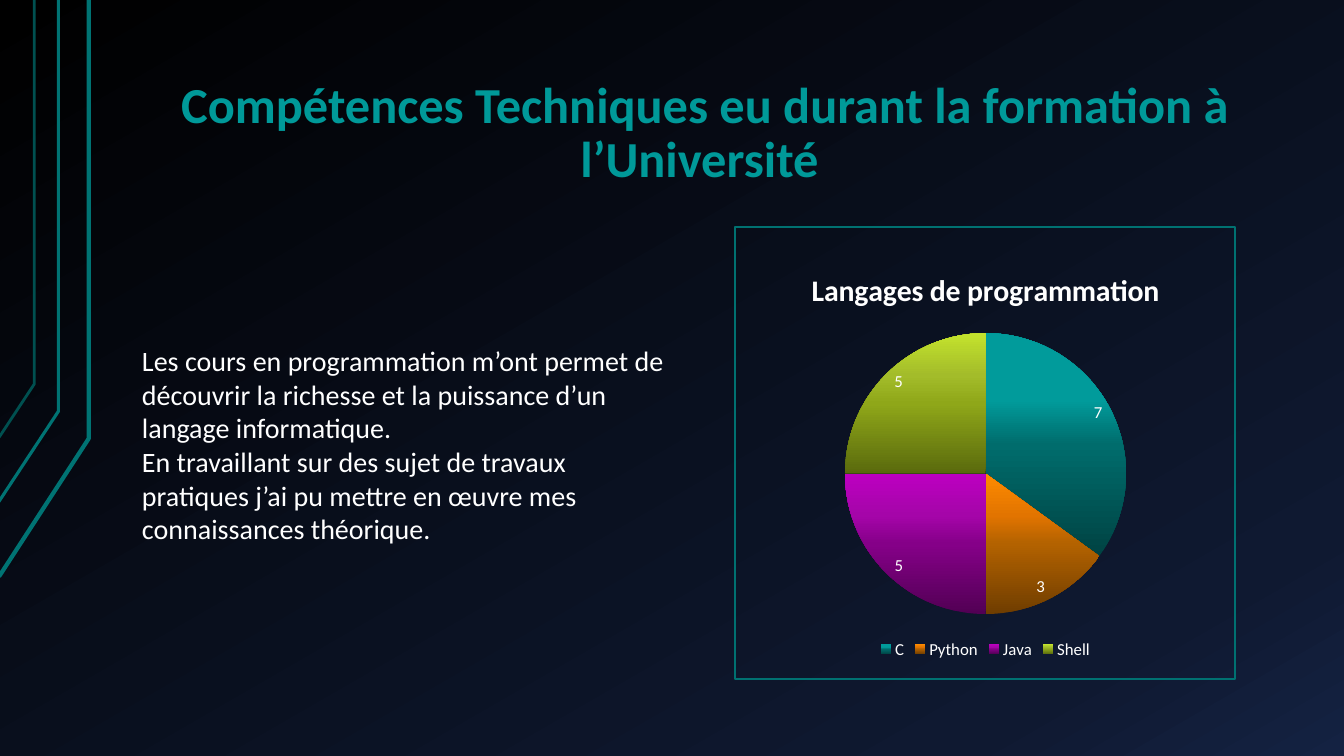
from lxml.etree import SubElement
from pptx import Presentation
from pptx.chart.data import CategoryChartData
from pptx.dml.color import RGBColor
from pptx.enum.chart import XL_CHART_TYPE, XL_LABEL_POSITION, XL_LEGEND_POSITION
from pptx.enum.shapes import MSO_SHAPE
from pptx.enum.text import MSO_ANCHOR, PP_ALIGN
from pptx.oxml.ns import qn
from pptx.util import Inches, Pt

# Content
FONT = "Calibri"
WHITE = "FFFFFF"
TITLE = "Compétences Techniques eu durant la formation à l’Université "
BODY = [
    "Les cours en programmation m’ont permet de découvrir la richesse et la puissance d’un langage informatique.",
    "En travaillant sur des sujet de travaux pratiques j’ai pu mettre en œuvre mes connaissances théorique.",
]
CHART_TITLE = "Langages de programmation"
LANGUAGES = {  # name: (value, gradient colours from bottom to top)
    "C": (7, ("004343", "006C6C", "019B9B", "009999")),
    "Python": (3, ("6F3D00", "B36200", "E27400", "FE8B00")),
    "Java": (5, ("520054", "850088", "A505A9", "BC00C0")),
    "Shell": (5, ("5A6A0D", "8FA719", "A3BC2A", "C4E32D")),
}
SLICE_STOPS = (0, 50, 70, 100)
BACKGROUND = [(0, "000000"), (85, "0F1931"), (100, "142242")]

# Circuit lines: left end, its height, bend x, bend y, colour, width
CIRCUIT = [
    (-0.01, 5.72, 0.88, 4.35, "007373", 3),
    (-0.02, 4.99, 0.58, 4.08, "007373", 2.25),
    (-0.01, 4.34, 0.34, 3.81, "005050", 2),
]

# Boxes in inches: left, top, width, height
TITLE_BOX = (1.33, 0.6, 11.33, 1.34)
BODY_BOX = (1.31, 3.36, 5.51, 2.12)
CHART_BOX = (6.35, 2.49, 6.85, 4.09)
FRAME_BOX = (7.29, 2.25, 4.96, 4.49)


def color(value):
    return RGBColor.from_string(value)


def inches(box):
    return [Inches(length) for length in box]


def set_font(font, size, bold=False, fill=WHITE):
    font.name, font.size, font.bold = FONT, Pt(size), bold
    font.color.rgb = color(fill)


def set_gradient(fill, root, stops, angle):
    """Fill with a gradient; its stop list is the newest one under root."""
    fill.gradient()
    fill.gradient_angle = 360 - angle
    stop_list = list(root.iter(qn("a:gsLst")))[-1]
    for stop in list(stop_list):
        stop_list.remove(stop)
    for position, value in stops:
        stop = SubElement(stop_list, qn("a:gs"), pos=str(position * 1000))
        SubElement(stop, qn("a:srgbClr"), val=value)


def add_text(slide, box, paragraphs, size, bold=False, fill=WHITE,
             align=PP_ALIGN.LEFT, anchor=MSO_ANCHOR.TOP, spacing=1.0, side=0.1, edge=0.05):
    frame = slide.shapes.add_textbox(*inches(box)).text_frame
    frame.word_wrap = True
    frame.vertical_anchor = anchor
    frame.margin_left = frame.margin_right = Inches(side)
    frame.margin_top = frame.margin_bottom = Inches(edge)
    for index, text in enumerate(paragraphs):
        paragraph = frame.paragraphs[0] if index == 0 else frame.add_paragraph()
        paragraph.alignment, paragraph.line_spacing = align, spacing
        run = paragraph.add_run()
        run.text = text
        set_font(run.font, size, bold, fill)


def style_outline(shape, line, width):
    shape.shadow.inherit = False
    shape.fill.background()
    shape.line.color.rgb = color(line)
    shape.line.width = Pt(width)


def add_circuit(slide):
    for left, bottom, bend_x, bend_y, line, width in CIRCUIT:
        builder = slide.shapes.build_freeform(left * 100, bottom * 100, scale=Inches(0.01))
        builder.add_line_segments([(bend_x * 100, bend_y * 100), (bend_x * 100, 0)], close=False)
        style_outline(builder.convert_to_shape(), line, width)


def add_pie(slide):
    data = CategoryChartData()
    data.categories = list(LANGUAGES)
    data.add_series(CHART_TITLE, [value for value, _ in LANGUAGES.values()])
    chart = slide.shapes.add_chart(XL_CHART_TYPE.PIE, *inches(CHART_BOX), data).chart
    set_font(chart.font, 10)

    chart.has_title = True
    chart.chart_title.include_in_layout = False
    title = chart.chart_title.text_frame
    title.text = CHART_TITLE
    set_font(title.paragraphs[0].runs[0].font, 21.3, bold=True)

    chart.has_legend = True
    chart.legend.position = XL_LEGEND_POSITION.BOTTOM
    chart.legend.include_in_layout = False
    set_font(chart.legend.font, 12)

    plot = chart.plots[0]
    plot.vary_by_categories = True
    series = plot.series[0]
    for index, (_, shades) in enumerate(LANGUAGES.values()):
        slice_format = series.points[index].format
        set_gradient(slice_format.fill, series._element, zip(SLICE_STOPS, shades), 270)
        slice_format.line.fill.background()
    labels = series.data_labels
    labels.show_value = True
    labels.position = XL_LABEL_POSITION.BEST_FIT
    set_font(labels.font, 12)


def main():
    presentation = Presentation()
    presentation.slide_width, presentation.slide_height = Inches(13.33), Inches(7.5)
    slide = presentation.slides.add_slide(presentation.slide_layouts[6])
    set_gradient(slide.background.fill, slide.element, BACKGROUND, 60)

    add_circuit(slide)
    add_text(slide, TITLE_BOX, [TITLE], 36, bold=True, fill="009999", align=PP_ALIGN.CENTER,
             anchor=MSO_ANCHOR.BOTTOM, spacing=0.9, side=0.13, edge=0.07)
    add_pie(slide)
    add_text(slide, BODY_BOX, BODY, 20)

    # Frame around the chart
    frame = slide.shapes.add_shape(MSO_SHAPE.RECTANGLE, *inches(FRAME_BOX))
    style_outline(frame, "007171", 1.5)

    presentation.save("out.pptx")


if __name__ == "__main__":
    main()
